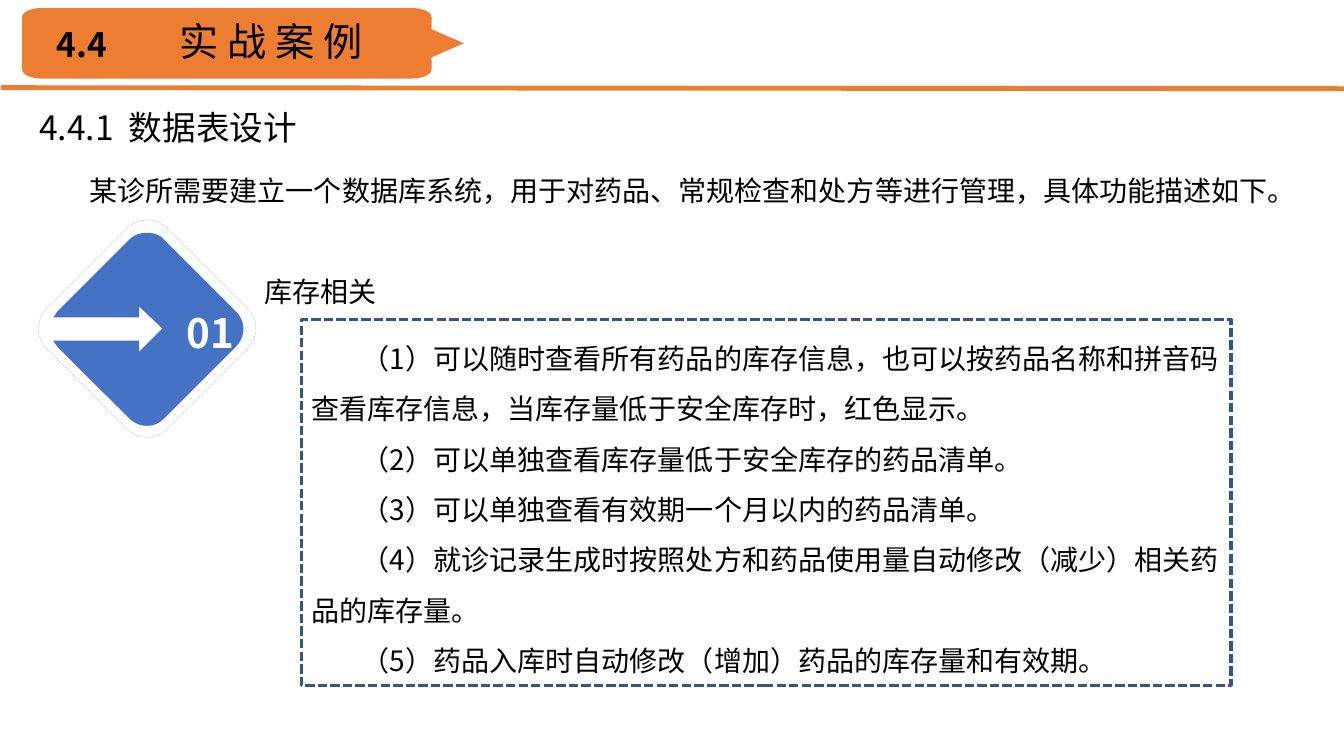
from lxml import etree
from pptx import Presentation
from pptx.dml.color import RGBColor
from pptx.enum.dml import MSO_LINE
from pptx.enum.shapes import MSO_CONNECTOR, MSO_SHAPE
from pptx.enum.text import MSO_ANCHOR, MSO_AUTO_SIZE, PP_ALIGN
from pptx.oxml.ns import qn
from pptx.util import Inches, Pt

STRAIGHT = MSO_CONNECTOR.STRAIGHT
RECT, ROUND_RECT = MSO_SHAPE.RECTANGLE, MSO_SHAPE.ROUNDED_RECTANGLE
DASH, DOTS = MSO_LINE.DASH, MSO_LINE.SQUARE_DOT
TOP, LEFT = MSO_ANCHOR.TOP, PP_ALIGN.LEFT
GROW, FIXED = MSO_AUTO_SIZE.SHAPE_TO_FIT_TEXT, MSO_AUTO_SIZE.NONE

FONT = "Noto Sans CJK SC"
COLORS = {"orange": "ED7D31", "blue": "4472C4", "navy": "325491",
          "gray": "A6A6A6", "black": "000000", "white": "FFFFFF"}
CURVE_STEPS = 10

BANNER = [
    (0.19, 0), (3.86, 0), (3.97, 0, 4.06, 0.04, 4.06, 0.09), (4.06, 0.21),
    (4.38, 0.35), (4.06, 0.49), (4.06, 0.61),
    (4.06, 0.66, 3.97, 0.7, 3.86, 0.7), (0.19, 0.7),
    (0.09, 0.7, 0, 0.66, 0, 0.61), (0, 0.09), (0, 0.04, 0.09, 0, 0.19, 0),
]
ARROW_DIAMOND = [
    (0, -0.95), (0.06, -0.95, 0.13, -0.93, 0.17, -0.88), (0.88, -0.17),
    (0.98, -0.07, 0.98, 0.08, 0.88, 0.18), (0.17, 0.89),
    (0.08, 0.99, -0.08, 0.99, -0.18, 0.89), (-0.89, 0.18),
    (-0.92, 0.14), (-0.93, 0.12), (-0.08, 0.12), (-0.08, 0.23), (0.15, 0),
    (-0.08, -0.22), (-0.08, -0.11), (-0.93, -0.11), (-0.89, -0.17),
    (-0.18, -0.88), (-0.13, -0.93, -0.07, -0.95, 0, -0.95),
]
STOCK_RULES = [
    "（1）可以随时查看所有药品的库存信息，也可以按药品名称和拼音码查看库存信息，当库存量低于安全库存时，红色显示。",
    "（2）可以单独查看库存量低于安全库存的药品清单。",
    "（3）可以单独查看有效期一个月以内的药品清单。",
    "（4）就诊记录生成时按照处方和药品使用量自动修改（减少）相关药品的库存量。",
    "（5）药品入库时自动修改（增加）药品的库存量和有效期。",
]


def rgb(name):
    return RGBColor.from_string(COLORS[name])


def place(shape, left, top, width, height):
    shape.left, shape.top = Inches(left), Inches(top)
    shape.width, shape.height = Inches(width), Inches(height)


def write(shape, lines, size, color="black", bold=False, indent=0,
          spacing=1.0, wrap=True, fit=GROW):
    frame = shape.text_frame
    frame.text = "\n".join(lines)
    frame.word_wrap = wrap
    frame.auto_size = fit
    frame.vertical_anchor = TOP
    for paragraph in frame.paragraphs:
        paragraph.alignment = LEFT
        paragraph.line_spacing = spacing
        properties = paragraph._p.get_or_add_pPr()
        properties.set("marL", "0")
        properties.set("indent", str(Inches(indent)))
        font = paragraph.font
        font.size, font.bold, font.name = Pt(size), bold, FONT
        font.color.rgb = rgb(color)
        east_asian = etree.SubElement(properties.find(qn("a:defRPr")), qn("a:ea"))
        east_asian.set("typeface", FONT)


def add_text(shapes, box, lines, size, **style):
    label = shapes.add_textbox(*map(Inches, box))
    write(label, lines, size, **style)


def flatten(outline):
    points = [outline[0]]
    for step in outline[1:]:
        if len(step) == 2:
            points.append(step)
            continue
        x0, y0 = points[-1]
        x1, y1, x2, y2, x3, y3 = step
        for i in range(1, CURVE_STEPS + 1):
            t = i / CURVE_STEPS
            a, b, c, d = (1 - t) ** 3, 3 * t * (1 - t) ** 2, 3 * t * t * (1 - t), t ** 3
            points.append((a * x0 + b * x1 + c * x2 + d * x3,
                           a * y0 + b * y1 + c * y2 + d * y3))
    return points


def add_outline(shapes, left, top, outline, color):
    points = [(Inches(left + x), Inches(top + y)) for x, y in flatten(outline)]
    builder = shapes.build_freeform(*points[0])
    builder.add_line_segments(points[1:], close=True)
    body = builder.convert_to_shape()
    body.shadow.inherit = False
    body.fill.solid()
    body.fill.fore_color.rgb = rgb(color)
    body.line.fill.background()


def add_frame(shapes, preset, box, color, width, dash):
    frame = shapes.add_shape(preset, *map(Inches, box))
    frame.shadow.inherit = False
    frame.fill.background()
    frame.line.color.rgb = rgb(color)
    frame.line.width = Pt(width)
    frame.line.dash_style = dash
    return frame


def add_header(slide, left, top):
    shapes = slide.shapes
    rule = shapes.add_connector(STRAIGHT, Inches(0.01), Inches(top + 0.79),
                                Inches(13.33), Inches(top + 0.8))
    rule.line.color.rgb = rgb("orange")
    rule.line.width = Pt(3.5)
    etree.SubElement(rule._element.spPr, qn("a:effectLst"))
    add_outline(shapes, left, top, BANNER, "orange")
    add_text(shapes, (left + 0.24, top + 0.11, 0.95, 0.5), ["4.4"], 24, bold=True)
    title = shapes.title
    place(title, left + 1.46, top + 0.04, 4.92, 0.57)
    write(title, ["实 战 案 例"], 28)
    title.element.getparent().append(title.element)


def add_introduction(slide, left, top):
    add_text(slide.shapes, (left, top, 4.92, 0.5), ["4.4.1  数据表设计"], 24)
    add_text(slide.shapes, (left, top + 0.5, 12.67, 0.6),
             ["某诊所需要建立一个数据库系统，用于对药品、常规检查和处方等进行管理，具体功能描述如下。"],
             20, indent=0.5, spacing=1.5)


def add_marker(slide, center_x, center_y, side):
    marker = slide.shapes.add_group_shape().shapes
    border = add_frame(marker, ROUND_RECT,
                       (center_x - side / 2, center_y - side / 2, side, side),
                       "gray", 0.25, DASH)
    border.rotation = 45
    add_outline(marker, center_x, center_y, ARROW_DIAMOND, "blue")
    add_text(marker, (center_x + 0.29, center_y - 0.25, 0.58, 0.5), ["01"], 28.8,
             color="white", bold=True, wrap=False, fit=FIXED)


def add_stock_section(slide, left, top, width, height):
    rules = add_frame(slide.shapes, RECT, (left, top, width, height),
                      "navy", 2.25, DOTS)
    write(rules, STOCK_RULES, 20, indent=0.5, spacing=1.5)
    add_text(slide.shapes, (left - 0.47, top - 0.5, 2.78, 0.44), ["库存相关"], 20)


def main():
    deck = Presentation()
    deck.slide_width, deck.slide_height = Inches(13.33), Inches(7.5)
    slide = deck.slides.add_slide(deck.slide_layouts.get_by_name("Title Only"))
    add_header(slide, 0.22, 0.08)
    add_introduction(slide, 0.29, 1.01)
    add_marker(slide, 1.46, 3.26, 1.69)
    add_stock_section(slide, 2.99, 3.17, 9.22, 3.63)
    deck.save("out.pptx")


if __name__ == "__main__":
    main()
